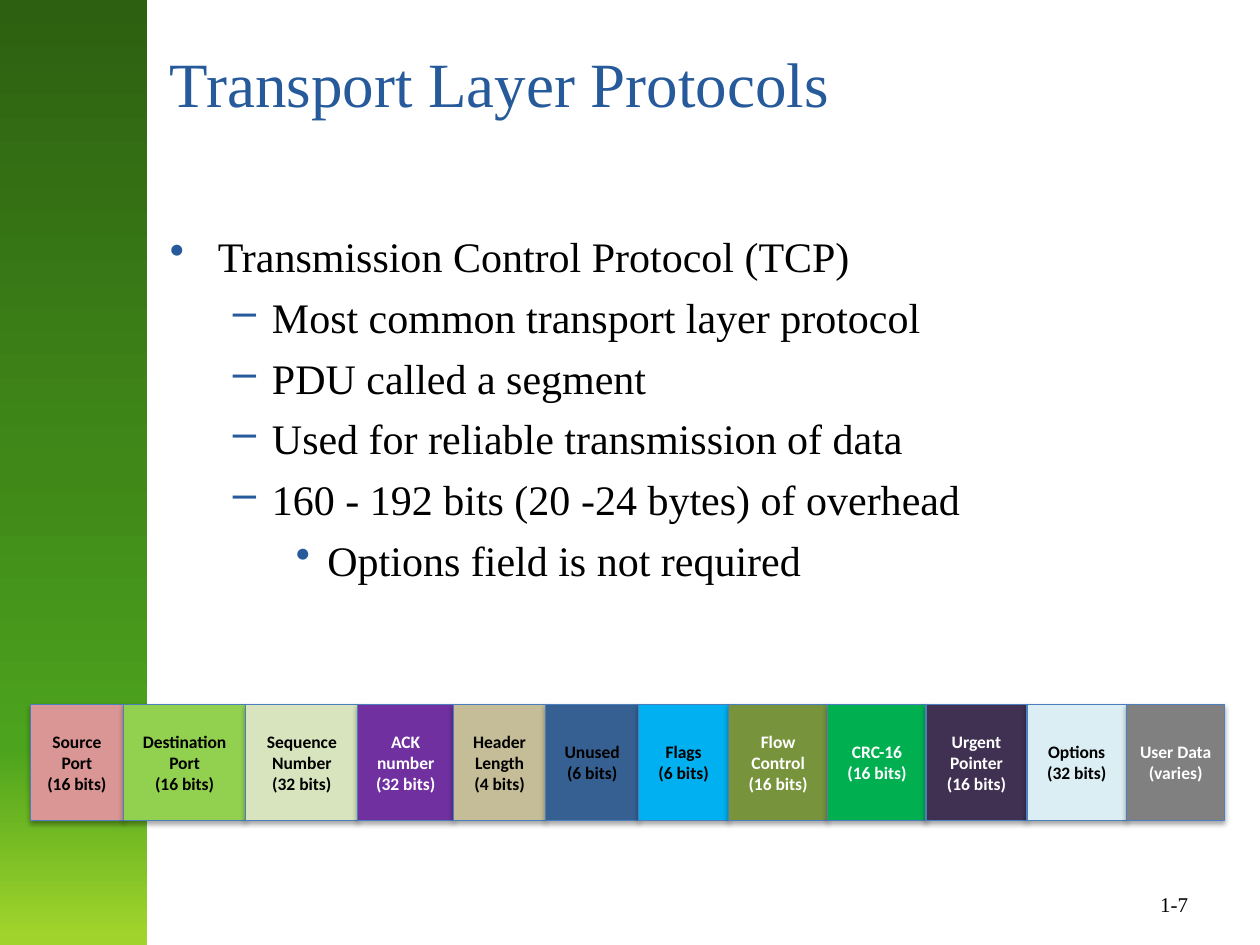
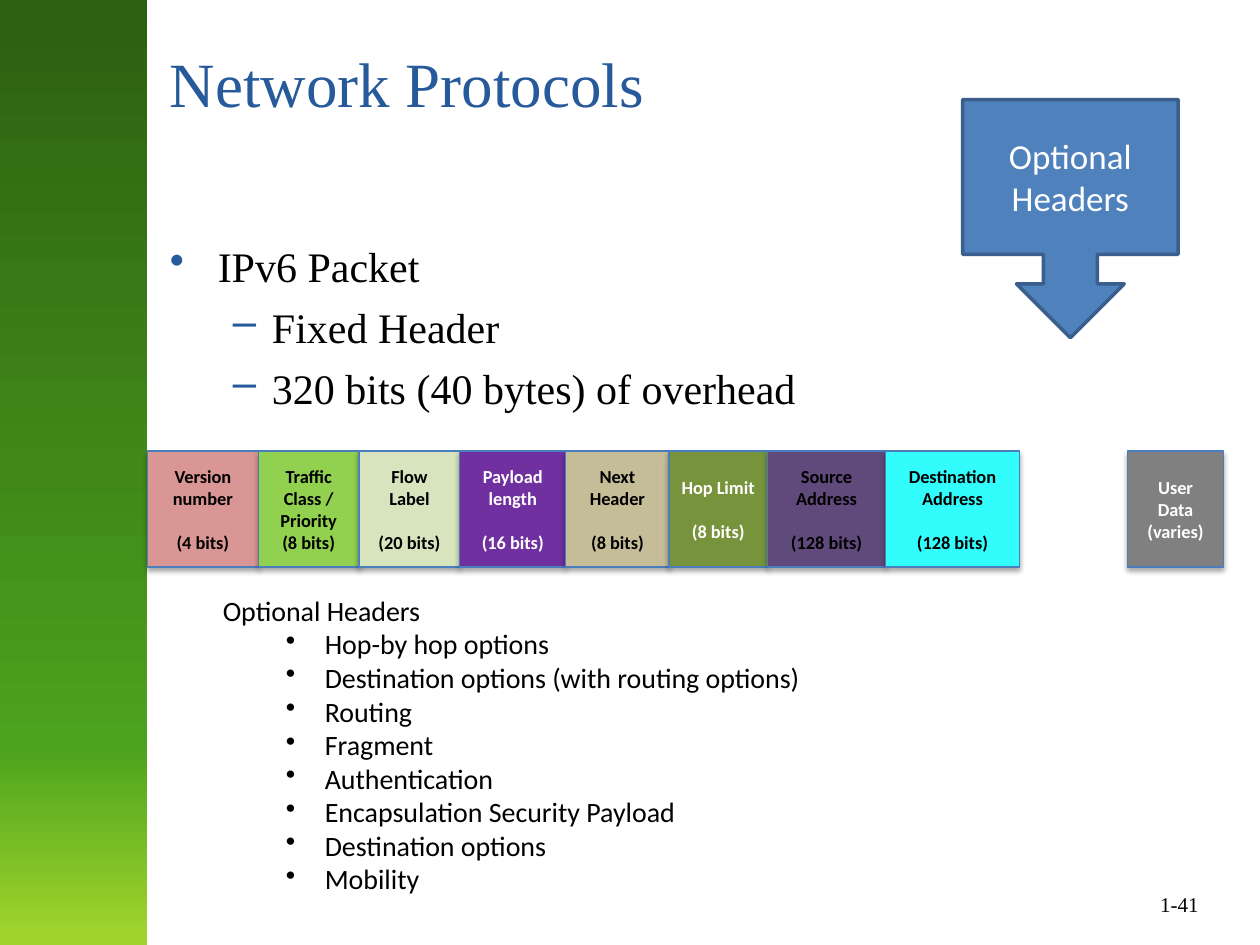
from lxml.etree import SubElement
from pptx import Presentation
from pptx.dml.color import RGBColor
from pptx.enum.shapes import MSO_SHAPE
from pptx.enum.text import MSO_ANCHOR, PP_ALIGN
from pptx.oxml.ns import qn
from pptx.util import Pt

PX = 9144
SERIF, SANS = "Times New Roman", "Calibri"
HUES = {
    "title": "265A9A", "black": "000000", "white": "FFFFFF", "edge": "4B7EBC",
    "rose": "D99694", "lime": "92D050", "pale": "D7E4BD", "purple": "7030A0",
    "tan": "C4BD97", "navy": "376092", "sky": "00B0F0", "olive": "77933C",
    "green": "00B050", "plum": "403152", "ice": "DBEEF4", "gray": "808080",
    "grape": "604A7B", "cyan": "32FCFC", "blue": "4F81BD", "rim": "3A5F8C",
}
BAND = [(0, "2D6011"), (50, "408919"), (79, "4CA31D"), (99, "A0D42C")]
BODY = [(38, -38, "•"), (81, -31, "–"), (125, -25, "•")]
NOTES = [(50, 0, ""), (131, -31, "•")]
TCP = [
    (74, "rose", "black", "Source Port", "(16 bits)"),
    (97, "lime", "black", "Destination Port", "(16 bits)"),
    (89, "pale", "black", "Sequence Number", "(32 bits)"),
    (76, "purple", "white", "ACK number", "(32 bits)"),
    (73, "tan", "black", "Header Length", "(4 bits)"),
    (74, "navy", "black", "Unused", "(6 bits)"),
    (71, "sky", "black", "Flags", "(6 bits)"),
    (79, "olive", "white", "Flow Control", "(16 bits)"),
    (78, "green", "white", "CRC-16", "(16 bits)"),
    (80, "plum", "white", "Urgent Pointer", "(16 bits)"),
    (79, "ice", "black", "Options", "(32 bits)"),
    (78, "gray", "white", "User Data", "(varies)"),
]
IPV6 = [
    (88, "rose", "black", "Version number", "(4 bits)"),
    (80, "lime", "black", "Traffic Class / Priority", "(8 bits)"),
    (80, "pale", "black", "Flow Label", "(20 bits)"),
    (84, "purple", "white", "Payload length", "(16 bits)"),
    (82, "tan", "black", "Next Header", "(8 bits)"),
    (78, "olive", "white", "Hop Limit", "(8 bits)"),
    (94, "grape", "black", "Source Address", "(128 bits)"),
    (106, "cyan", "black", "Destination Address", "(128 bits)"),
]
DATA = [(76, "gray", "white", "User Data", "(varies)")]


def rgb(name):
    """Return the colour with this name."""
    return RGBColor.from_string(HUES[name])


def scale(box):
    """Turn a box in px into EMU."""
    return [n * PX for n in box]


def style(para, face, size, hue, bold=False):
    """Format every run of a paragraph."""
    for run in para.runs:
        run.font.name, run.font.size, run.font.bold = face, Pt(size), bold
        run.font.color.rgb = rgb(hue)


def write(slide, box, text, face, size, hue, wrap=True):
    """Add a text box with one line."""
    frame = slide.shapes.add_textbox(*scale(box)).text_frame
    frame.word_wrap = wrap
    frame.text = text
    style(frame.paragraphs[0], face, size, hue)


def shape(slide, kind, box, fill, line, width):
    """Add a filled and outlined shape with centred text."""
    item = slide.shapes.add_shape(kind, *scale(box))
    item.shadow.inherit = False
    item.fill.solid()
    item.fill.fore_color.rgb = rgb(fill)
    item.line.color.rgb = rgb(line)
    item.line.width = Pt(width)
    item.text_frame.word_wrap = True
    item.text_frame.vertical_anchor = MSO_ANCHOR.MIDDLE
    return item


def shade(item):
    """Cast a soft shadow straight down."""
    effects = item._element.spPr.find(qn("a:effectLst"))
    cast = SubElement(effects, qn("a:outerShdw"), blurRad=str(Pt(3.1)),
                      dist=str(Pt(1.8)), dir="5400000", rotWithShape="0")
    tint = SubElement(cast, qn("a:srgbClr"), val=HUES["black"])
    SubElement(tint, qn("a:alpha"), val="35000")


def band(slide, box):
    """Draw the green side band."""
    item = slide.shapes.add_shape(MSO_SHAPE.RECTANGLE, *scale(box))
    item.shadow.inherit = False
    item.line.fill.background()
    item.fill.gradient()
    item.fill.gradient_angle = 270
    stops = item._element.spPr.find(qn("a:gradFill")).find(qn("a:gsLst"))
    for old in list(stops):
        stops.remove(old)
    for place, hue in BAND:
        stop = SubElement(stops, qn("a:gs"), pos=str(place * 1000))
        SubElement(stop, qn("a:srgbClr"), val=hue)


def bullets(slide, box, lines, levels, face, size, gap=0, tint="black", top=5):
    """Write an indented list from (level, text) pairs."""
    frame = slide.shapes.add_textbox(*scale(box)).text_frame
    frame.word_wrap = True
    frame.margin_top = top * PX
    for row, (level, text) in enumerate(lines):
        para = frame.add_paragraph() if row else frame.paragraphs[0]
        para.text = text
        left, hang, mark = levels[level]
        props = para._p.get_or_add_pPr()
        props.set("marL", str(left * PX))
        props.set("indent", str(hang * PX))
        if mark:
            color = SubElement(props, qn("a:buClr"))
            SubElement(color, qn("a:srgbClr"), val=HUES[tint])
            SubElement(props, qn("a:buChar"), char=mark)
        para.level = level
        if row and gap:
            para.space_before = Pt(gap)
        style(para, face, size, "black")


def fields(slide, left, top, cells, size, gap=0):
    """Lay header fields side by side."""
    for width, fill, hue, name, bits in cells:
        item = shape(slide, MSO_SHAPE.RECTANGLE, (left, top, width, 92),
                     fill, "edge", 0.75)
        shade(item)
        frame = item.text_frame
        frame.text = name
        last = frame.add_paragraph()
        last.text = bits
        if gap and len(name) < 20:
            last.space_before = Pt(gap)
        for para in frame.paragraphs:
            para.alignment = PP_ALIGN.CENTER
            style(para, SANS, size, hue, True)
        left += width


def callout(slide, box, text):
    """Draw a callout that points down."""
    item = shape(slide, MSO_SHAPE.DOWN_ARROW_CALLOUT, box, "blue", "rim", 2)
    item.text_frame.text = text
    para = item.text_frame.paragraphs[0]
    para.alignment = PP_ALIGN.CENTER
    style(para, SANS, 20, "white")


def base(deck, title, page, box, lines):
    """Add a slide with band, number, title and main list."""
    slide = deck.slides.add_slide(deck.slide_layouts[6])
    write(slide, (911, 703, 56, 30), page, SERIF, 12, "black", False)
    band(slide, (0, 0, 117, 750))
    write(slide, (125, 30, 842, 125), title, SERIF, 36, "title")
    bullets(slide, box, lines, BODY, SERIF, 24, 5.9, "title", 8)
    return slide


def tcp(deck):
    """Build the TCP slide."""
    slide = base(deck, "Transport Layer Protocols", "1-7", (125, 175, 842, 495), [
        (0, "Transmission Control Protocol (TCP)"),
        (1, "Most common transport layer protocol"),
        (1, "PDU called a segment"),
        (1, "Used for reliable transmission of data"),
        (1, "160 - 192 bits (20 -24 bytes) of overhead"),
        (2, "Options field is not required"),
    ])
    fields(slide, 24, 559, TCP, 10)


def ipv6(deck):
    """Build the IPv6 slide."""
    slide = base(deck, "Network Protocols", "1-41", (125, 183, 819, 492), [
        (0, "IPv6 Packet"),
        (1, "Fixed Header"),
        (1, "320 bits (40 bytes) of overhead"),
    ])
    fields(slide, 117, 358, IPV6, 10.5, 12.8)
    fields(slide, 895, 358, DATA, 10.5)
    callout(slide, (764, 79, 171, 189), "Optional Headers")
    names = ["Hop-by hop options", "Destination options (with routing options)",
             "Routing", "Fragment", "Authentication",
             "Encapsulation Security Payload", "Destination options", "Mobility"]
    lines = [(0, "Optional Headers")] + [(1, name) for name in names]
    bullets(slide, (117, 466, 617, 252), lines, NOTES, SANS, 16)


def main():
    """Build and save the deck."""
    deck = Presentation()
    deck.slide_width, deck.slide_height = scale((1000, 750))
    tcp(deck)
    ipv6(deck)
    deck.save("out.pptx")


if __name__ == "__main__":
    main()
